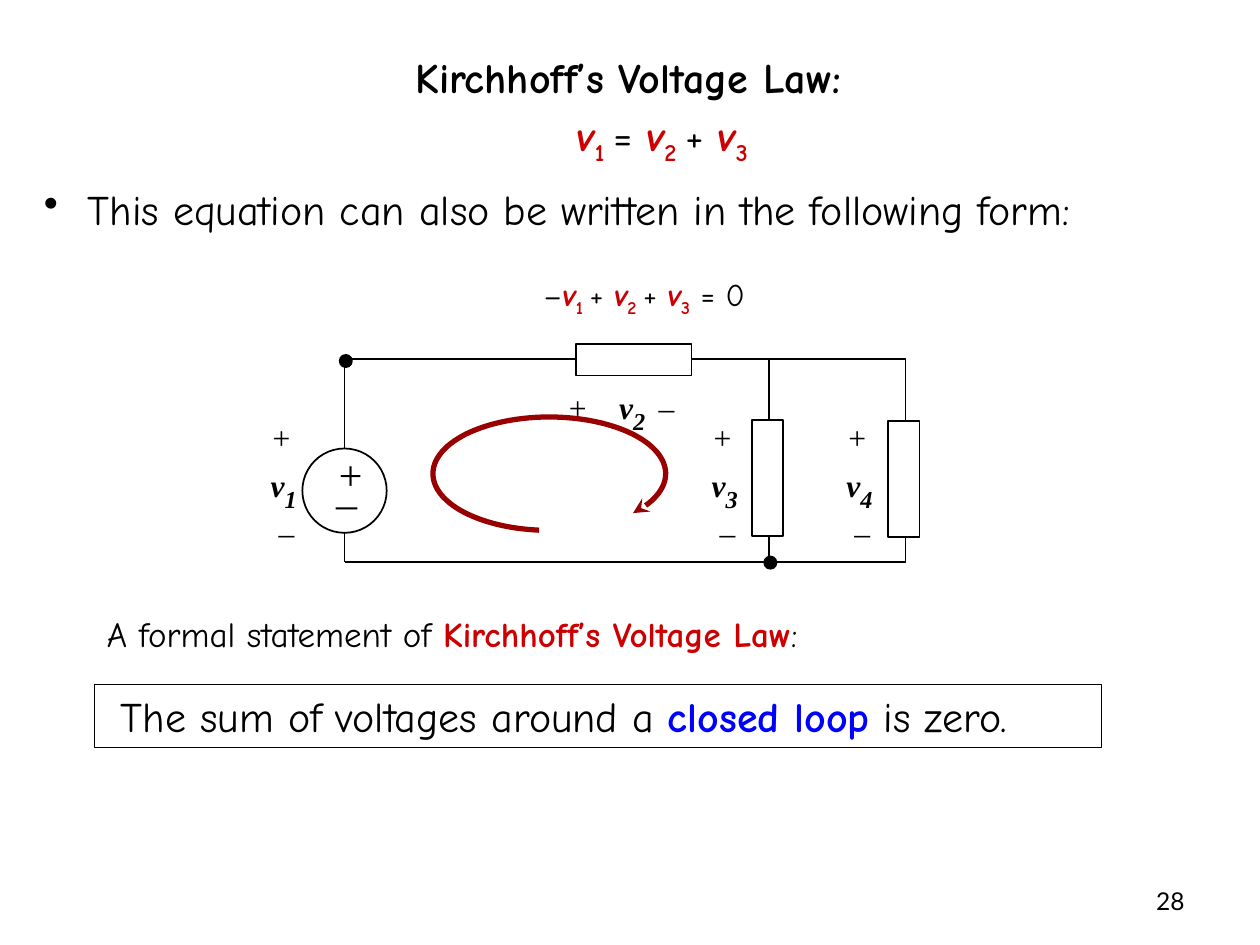
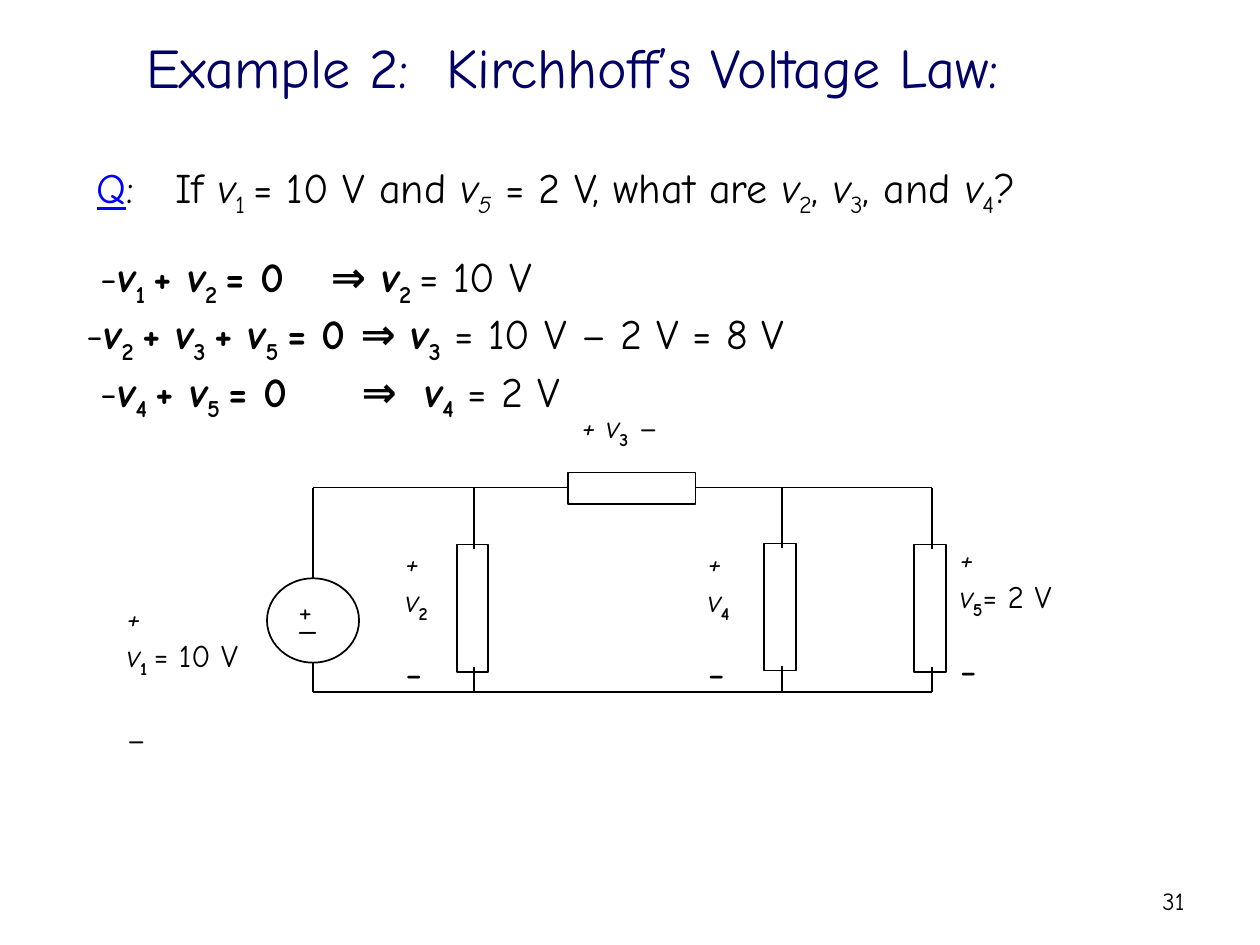
import math
from lxml import etree
from pptx import Presentation
from pptx.dml.color import RGBColor
from pptx.enum.shapes import MSO_CONNECTOR, MSO_SHAPE
from pptx.enum.text import MSO_ANCHOR, MSO_AUTO_SIZE, PP_ALIGN
from pptx.oxml.ns import qn
from pptx.util import Pt

LINE, RECT, OVAL = MSO_CONNECTOR.STRAIGHT, MSO_SHAPE.RECTANGLE, MSO_SHAPE.OVAL
TOP, MID = MSO_ANCHOR.TOP, MSO_ANCHOR.MIDDLE
LEFT, MIDDLE, RIGHT = PP_ALIGN.LEFT, PP_ALIGN.CENTER, PP_ALIGN.RIGHT
FIXED = MSO_AUTO_SIZE.NONE

# Theme: colours, fonts and type sizes
THEME = {
    "ink": RGBColor(0, 0, 0), "paper": RGBColor(255, 255, 255),
    "red": RGBColor(0xCC, 0, 0), "blue": RGBColor(0, 0, 0xFF),
    "navy": RGBColor(0, 0, 0x66), "loop": RGBColor(0x99, 0, 0),
    "main": "Comic Neue", "math": "Times New Roman", "plain": "Lato",
    "head": 32, "body": 24, "note": 20, "label": 18, "page": 14, "minus": 28,
}
# One letter per run format; "s" lowers the run, "v" is a variable with its index
MARKS = {
    "b": {"bold": True}, "i": {"italic": True}, "u": {"underline": True},
    "L": {"size": Pt(THEME["body"])}, "M": {"size": Pt(THEME["minus"])},
}
TINTS = {"r": "red", "l": "blue", "n": "navy"}


def write(shape, paras, size="body", face="main", anchor=TOP):
    """Each paragraph is a dict of formats followed by (text, marks) runs."""
    frame = shape.text_frame
    frame.auto_size, frame.word_wrap, frame.vertical_anchor = FIXED, True, anchor
    for n, (form, *runs) in enumerate(paras):
        para = frame.add_paragraph() if n else frame.paragraphs[0]
        para.alignment = form.get("align", LEFT)
        if "before" in form:
            para.space_before = Pt(form["before"])
        props = para._p.get_or_add_pPr()
        for key in ("marL", "indent"):
            if key in form:
                props.set(key, str(Pt(form[key])))
        if "bullet" in form:
            etree.SubElement(props, qn("a:buChar"), char=form["bullet"])
        if "tabs" in form:
            stops = etree.SubElement(props, qn("a:tabLst"))
            for stop in form["tabs"]:
                etree.SubElement(stops, qn("a:tab"), pos=str(Pt(stop)), algn="l")
        for text, marks in runs:
            parts = [(text, marks)]
            if "v" in marks:
                parts = [(text[0], marks + "i"), (text[1:], marks + "s")]
            for part, flags in parts:
                run = para.add_run()
                run.text = part
                look = {"name": THEME[face], "size": Pt(THEME[size]),
                        "bold": False, "italic": False}
                tint = "ink"
                for flag in flags:
                    look.update(MARKS.get(flag, {}))
                    tint = TINTS.get(flag, tint)
                for key, value in look.items():
                    setattr(run.font, key, value)
                run.font.color.rgb = THEME[tint]
                if "s" in flags:
                    run._r.get_or_add_rPr().set("baseline", "-25000")


def draw(slide, kind, box, fill="paper", width=1):
    shape = slide.shapes.add_shape(kind, *map(Pt, box))
    shape.shadow.inherit = False
    shape.fill.solid()
    shape.fill.fore_color.rgb = THEME[fill]
    shape.line.color.rgb = THEME["ink"]
    shape.line.width = Pt(width)
    return shape


deck = Presentation()
deck.slide_width, deck.slide_height = Pt(720), Pt(540)

# Voltage labels beside the parts: plus, name, minus
law_tags = [
    ((x, 235.4, 60, 80),
     [({}, ("+", "i")), ({}, ("v", "bi"), (num, "bisL")), ({}, (" –", "i"))],
     "label", "math")
    for x, num in ((147.6, "1"), (399.6, "3"), (476.6, "4"))
]
case_tags = [
    ((x, y, 100, 74),
     [({}, ("+", "i")), ({}, ("v", "i"), (num, "bs"), (value, "")),
      ({}, ("–", "bsM"))],
     "label")
    for x, y, num, value in ((224.6, 306.7, "2", ""), (397.4, 306.7, "4", ""),
                             (541.4, 304.6, "5", "= 2 V"))
]

# Slide contents
pages = [
    {
        "page": "28", "face": "plain", "box": (180, 26, 358, 71), "size": "body",
        "title": [
            ({"align": MIDDLE}, ("Kirchhoff’s Voltage Law:", "b")),
            ({"align": MIDDLE, "marL": 39, "before": 4},
             ("v1 ", "vbr"), ("= ", ""), ("v2 ", "vbr"), ("+ ", ""), ("v3", "vbr")),
        ],
        "texts": [
            ((18, 101.5, 685, 36),
             [({"bullet": "•", "marL": 25, "indent": -25},
               ("This equation can also be written in the following form:", ""))]),
            ((303.5, 153.4, 200, 29),
             [({}, ("–", ""), ("v1 ", "vbr"), ("+ ", ""), ("v2 ", "vbr"),
               ("+ ", ""), ("v3", "vbr"), (" = 0", ""))], "label"),
            ((54, 346.3, 480, 32),
             [({}, ("A formal statement of ", ""),
               ("Kirchhoff’s Voltage Law", "br"), (":", ""))], "note"),
            ((185, 252.7, 40, 36), [({}, ("+", "i"))], "body", "math"),
            ((185, 260.6, 40, 36), [({}, ("_", "i"))], "body", "math"),
            ((316.8, 212.4, 100, 31),
             [({"tabs": (30, 52.5)}, ("+\t", "i"), ("v", "bi"), ("2", "bisL"),
               ("\t–", "i"))], "label", "math"),
            *law_tags,
        ],
        "top": 205.2, "base": 321.1, "cell": (172.8, 256.3, 48.2, 48.2),
        "flat": (329, 196.6), "long": 66.2, "lap": 0,
        "posts": ((438.5, 240.1), (516.5, 240.5)),
    },
    {
        "page": "31", "face": "main", "box": (76.3, 15.1, 600, 46), "size": "head",
        "title": [({}, ("Example 2:  Kirchhoff’s Voltage Law:", "n"))],
        "texts": [
            ((48.2, 88.6, 647, 36),
             [({"tabs": (45,)}, ("Q", "lu"), (":\tIf ", ""), ("v1 ", "v"),
               ("= 10 V and ", ""), ("v", "i"), ("5", "is"), (" = 2 V, what are ", ""),
               ("v2", "v"), (", ", ""), ("v3", "v"), (", and ", ""), ("v4", "v"),
               ("?", ""))]),
            ((42.5, 139.7, 528, 94), [
                ({"tabs": (139.5,)}, (" -", ""), ("v1 ", "vb"), ("+ ", "b"),
                 ("v2 ", "vb"), ("= 0\t⇒ ", "b"), ("v2 ", "vb"), ("= 10 V", "")),
                ({}, ("-", ""), ("v2 ", "vb"), ("+ ", "b"), ("v3 ", "vb"),
                 ("+ ", "b"), ("v5 ", "vb"), ("= 0 ⇒ ", "b"), ("v3", "vb"),
                 (" = 10 V – 2 V = 8 V", "")),
                ({"tabs": (157, 193)}, (" -", ""), ("v4 ", "vb"), ("+ ", "b"),
                 ("v5 ", "vb"), ("= 0\t⇒\t", "b"), ("v4", "vb"), (" = 2 V", "")),
            ]),
            ((163.4, 334.1, 40, 29), [({}, ("+", ""))], "label"),
            ((164.2, 339.8, 40, 29), [({}, ("_", ""))], "label"),
            ((65.5, 338.3, 100, 100),
             [({}, ("+", "i")), ({}, ("v", "i"), ("1 ", "bs"), ("= 10 V", "")),
              ({"before": 23}, ("–", ""))], "label"),
            ((325.4, 229, 100, 29),
             [({}, ("+ v", "i"), ("3", "bs"), (" –", ""))], "label"),
            *case_tags,
        ],
        "top": 278.6, "base": 395.3, "cell": (152.6, 330.5, 52.6, 48.2),
        "flat": (324.7, 270), "long": 72.7, "lap": 2.5,
        "posts": ((270, 311.2), (445.7, 310.5), (531.4, 311.2)),
    },
]

slides = []
for page in pages:
    slide = deck.slides.add_slide(deck.slide_layouts[5])
    slides.append(slide)

    # Title and page number
    title = slide.shapes.title
    title.left, title.top, title.width, title.height = map(Pt, page["box"])
    write(title, page["title"], page["size"])
    number = slide.shapes.add_textbox(Pt(516), Pt(500.4), Pt(168), Pt(28.8))
    write(number, [({"align": RIGHT}, (page["page"], ""))], "page", page["face"], MID)

    # Source and resistors
    top, base, long, lap = (page[key] for key in ("top", "base", "long", "lap"))
    x, y, wide, high = page["cell"]
    draw(slide, OVAL, page["cell"])
    draw(slide, RECT, (*page["flat"], long, 18))
    mid = x + wide / 2
    drops = [(mid, y, y + high)]
    for post, head in page["posts"]:
        draw(slide, RECT, (post - 9, head, 18, long))
        drops.append((post + 1, head + lap, head + long - lap))

    # Wires
    end, start = drops[-1][0], page["flat"][0]
    wires = [(mid, top, start, top), (start + long, top, end, top),
             (mid, base, end, base)]
    for x, upper, lower in drops:
        wires += [(x, top, x, upper), (x, lower, x, base)]
    for ends in wires:
        wire = slide.shapes.add_connector(LINE, *map(Pt, ends))
        wire.line.color.rgb = THEME["ink"]
        wire.line.width = Pt(1)
        etree.SubElement(wire._element.spPr, qn("a:effectLst"))

    # Text and labels
    for box, *words in page["texts"]:
        write(slide.shapes.add_textbox(*map(Pt, box)), *words)

# Nodes of the first circuit
law = slides[0]
for x, y in ((197.6, 206.3), (440.2, 321.5)):
    draw(law, OVAL, (x - 3.5, y - 3.5, 7, 7), "ink")

# Loop arrow
arc = [(100 * (313.9 + 66.5 * math.cos(math.radians(turn))),
        100 * (270.7 + 32.4 * math.sin(math.radians(turn))))
       for turn in range(95, 405, 3)]
pen = law.shapes.build_freeform(*arc[0], scale=127.0)
pen.add_line_segments(arc[1:], close=False)
loop = pen.convert_to_shape()
loop.shadow.inherit = False
loop.fill.background()
loop.line.color.rgb = THEME["loop"]
loop.line.width = Pt(3)
etree.SubElement(loop.line._get_or_add_ln(), qn("a:tailEnd"), type="stealth")

# Framed statement of the law
frame = draw(law, RECT, (54, 391, 575.3, 36), width=0.75)
write(frame, [({"marL": 8}, ("The sum of voltages around a ", ""),
               ("closed loop", "bl"), (" is zero.", ""))])

deck.save("out.pptx")
